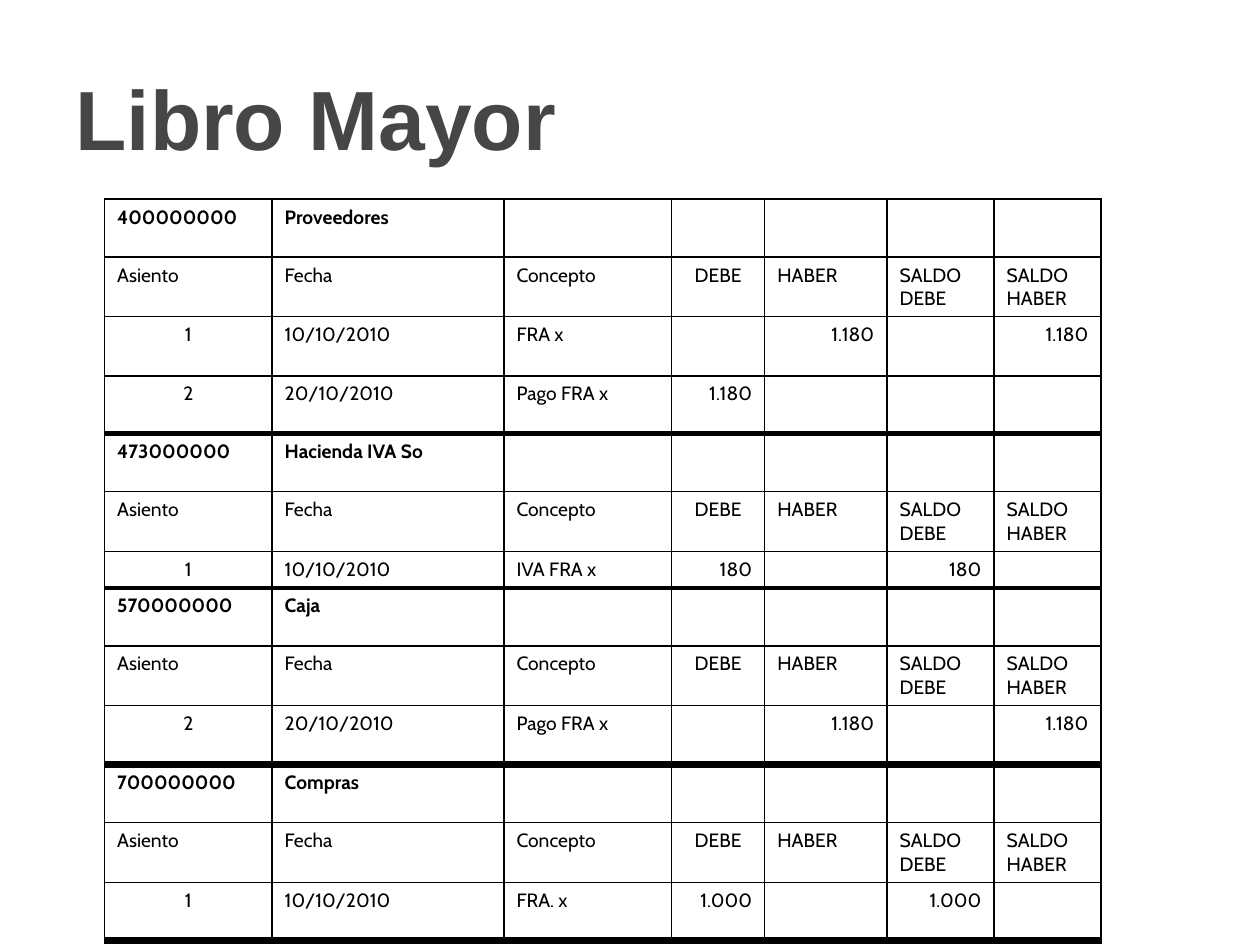
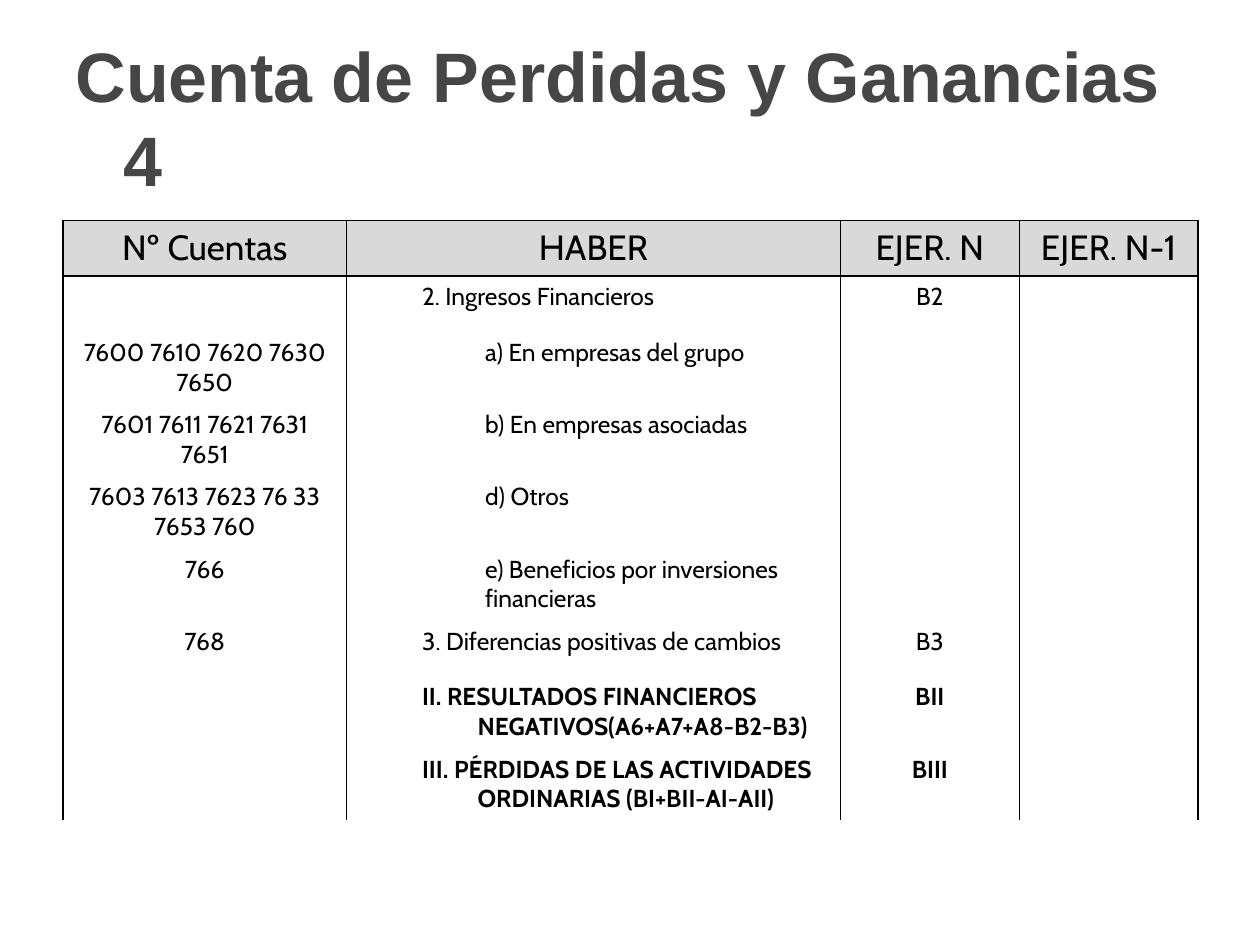
"""Build two accounting slides: the general ledger and the profit and loss account."""
import dataclasses

import pptx
import pptx.dml.color
import pptx.enum.text
import pptx.oxml.ns
import pptx.util
from lxml import etree

Inches, Pt = pptx.util.Inches, pptx.util.Pt
ALIGN = {
    "l": pptx.enum.text.PP_ALIGN.LEFT,
    "c": pptx.enum.text.PP_ALIGN.CENTER,
    "r": pptx.enum.text.PP_ALIGN.RIGHT,
}


@dataclasses.dataclass(frozen=True)
class Theme:
    title_font: str = "Arial"
    body_font: str = "Cabin"
    title_color: str = "464646"
    text_color: str = "000000"
    line_color: str = "000000"
    paper: str = "FFFFFF"
    header_fill: str = "D9D9D9"
    ledger_size: int = 11
    header_size: int = 20
    body_size: int = 14
    thin: float = 1


THEME = Theme()

LEDGER_TITLE = ("Libro Mayor", 48)
LEDGER_HEADER = ["Asiento", "Fecha", "Concepto", "DEBE", "HABER", "SALDO\nDEBE", "SALDO\nHABER"]
LEDGER_HEADER_ALIGN = "lllclll"
LEDGER_ENTRY_ALIGN = "cllrrrr"
LEDGER_COLS = [1.33, 1.84, 1.33, 0.74, 0.97, 0.85, 0.85]
ACCOUNT_HEIGHT, LEDGER_HEADER_HEIGHT = 0.46, 0.47
ACCOUNTS = [
    {"code": "400000000", "name": "Proveedores", "rule": 3, "entries": [
        (0.47, ["1", "10/10/2010", "FRA x", "", "1.180", "", "1.180"]),
        (0.46, ["2", "20/10/2010", "Pago FRA x", "1.180", "", "", ""])]},
    {"code": "473000000", "name": "Hacienda IVA So", "rule": 3, "entries": [
        (0.28, ["1", "10/10/2010", "IVA FRA x", "180", "", "180", ""])]},
    {"code": "570000000", "name": "Caja", "rule": 4.5, "entries": [
        (0.47, ["2", "20/10/2010", "Pago FRA x", "", "1.180", "", "1.180"])]},
    {"code": "700000000", "name": "Compras", "rule": 4.5, "entries": [
        (0.46, ["1", "10/10/2010", "FRA. x", "1.000", "", "1.000", ""])]},
]

RESULT_TITLE = ("Cuenta de Perdidas y Ganancias 4", 40)
RESULT_HEADER = ["Nº Cuentas", "HABER", "EJER. N", "EJER. N-1"]
RESULT_COLS = [2.25, 3.92, 1.42, 1.42]
ONE_LINE, TWO_LINES = 0.44, 0.57
INDENTS = {"item": (1, 0.5, 0), "detail": (2, 1, 0), "total": (1, 0.94, -0.44)}
RESULT_ROWS = [
    ("item", ONE_LINE, "", "2. Ingresos Financieros", "B2"),
    ("detail", TWO_LINES, "7600 7610 7620 7630 7650", "a) En empresas del grupo", ""),
    ("detail", TWO_LINES, "7601 7611 7621 7631 7651", "b) En empresas asociadas", ""),
    ("detail", TWO_LINES, "7603 7613 7623 76 33 7653 760", "d) Otros", ""),
    ("detail", TWO_LINES, "766", "e) Beneficios por inversiones financieras", ""),
    ("item", ONE_LINE, "768", "3. Diferencias positivas de cambios", "B3"),
    ("total", TWO_LINES, "", "II. RESULTADOS FINANCIEROS NEGATIVOS(A6+A7+A8-B2-B3)", "BII"),
    ("total", TWO_LINES, "", "III. PÉRDIDAS DE LAS ACTIVIDADES ORDINARIAS (BI+BII-AI-AII)", "BIII"),
]


def rgb(value):
    """Turn a hex string into a colour."""
    return pptx.dml.color.RGBColor.from_string(value)


def add_run(p, text, font, size, color, bold):
    """Add one formatted run to a paragraph."""
    r = p.add_run()
    r.text = text
    r.font.name, r.font.size, r.font.bold = font, Pt(size), bold
    r.font.color.rgb = rgb(color)


def set_indent(p, left, first):
    """Set the left margin and first-line indent in inches."""
    pPr = p._p.get_or_add_pPr()
    pPr.set("marL", str(Inches(left)))
    pPr.set("indent", str(Inches(first)))


def add_slide(prs, title):
    """Add a title-only slide with the shared title style."""
    text, size = title
    slide = prs.slides.add_slide(prs.slide_layouts[5])
    sp = slide.shapes.title
    sp.left, sp.top, sp.width, sp.height = map(Inches, (0.5, 0.3, 9, 1.25))
    tf = sp.text_frame
    tf.word_wrap = True
    tf.auto_size = pptx.enum.text.MSO_AUTO_SIZE.NONE
    tf.vertical_anchor = pptx.enum.text.MSO_ANCHOR.MIDDLE
    p = tf.paragraphs[0]
    p.alignment = ALIGN["l"]
    set_indent(p, 0.38, -0.38)
    add_run(p, text, THEME.title_font, size, THEME.title_color, True)
    return slide


def add_grid(slide, left, top, cols, rows):
    """Add an unbanded table with the given column widths and row heights."""
    frame = slide.shapes.add_table(len(rows), len(cols), Inches(left), Inches(top),
                                   Inches(sum(cols)), Inches(sum(rows)))
    table = frame.table
    table.first_row = table.horz_banding = False
    for column, width in zip(table.columns, cols):
        column.width = Inches(width)
    for row, height in zip(table.rows, rows):
        row.height = Inches(height)
    return table


def set_borders(cell, top, bottom):
    """Draw thin sides and the given top and bottom lines; zero means none."""
    tcPr = cell._tc.get_or_add_tcPr()
    qn = pptx.oxml.ns.qn
    for side, width in (("L", THEME.thin), ("R", THEME.thin), ("T", top), ("B", bottom)):
        ln = etree.SubElement(tcPr, qn(f"a:ln{side}"), w=str(Pt(width)))
        if width:
            fill = etree.SubElement(ln, qn("a:solidFill"))
            etree.SubElement(fill, qn("a:srgbClr"), val=THEME.line_color)
        else:
            etree.SubElement(ln, qn("a:noFill"))


def fill_cell(cell, text, size, align="l", bold=False, fill=None, top=0, bottom=0, indent=None):
    """Write and format one table cell."""
    set_borders(cell, top, bottom)
    if fill:
        cell.fill.solid()
        cell.fill.fore_color.rgb = rgb(fill)
    else:
        cell.fill.background()
    tf = cell.text_frame
    for i, line in enumerate(text.split("\n")):
        p = tf.add_paragraph() if i else tf.paragraphs[0]
        p.alignment = ALIGN[align]
        if indent:
            level, left, first = indent
            p.level = level
            set_indent(p, left, first)
        if line:
            add_run(p, line, THEME.body_font, size, THEME.text_color, bold)
        else:
            etree.SubElement(p._p, pptx.oxml.ns.qn("a:endParaRPr"), sz=str(size * 100))


def ledger_rows():
    """List each ledger row as height, texts, alignments, bold, top and bottom line."""
    rows, above = [], THEME.thin
    for account in ACCOUNTS:
        heading = [account["code"], account["name"]] + [""] * 5
        rows.append((ACCOUNT_HEIGHT, heading, "l" * 7, True, above, THEME.thin))
        rows.append((LEDGER_HEADER_HEIGHT, LEDGER_HEADER, LEDGER_HEADER_ALIGN, False,
                     THEME.thin, THEME.thin))
        for i, (height, texts) in enumerate(account["entries"], 1):
            last = i == len(account["entries"])
            rows.append((height, texts, LEDGER_ENTRY_ALIGN, False, THEME.thin,
                         account["rule"] if last else THEME.thin))
        above = account["rule"]
    return rows


def build_ledger(prs):
    """Build the general ledger slide."""
    slide = add_slide(prs, LEDGER_TITLE)
    rows = ledger_rows()
    table = add_grid(slide, 0.83, 1.58, LEDGER_COLS, [row[0] for row in rows])
    for r, (_, texts, aligns, bold, top, bottom) in enumerate(rows):
        for c, (text, align) in enumerate(zip(texts, aligns)):
            fill_cell(table.cell(r, c), text, THEME.ledger_size, align, bold,
                      THEME.paper, top, bottom)


def build_result(prs):
    """Build the profit and loss slide."""
    slide = add_slide(prs, RESULT_TITLE)
    heights = [ONE_LINE] + [row[1] for row in RESULT_ROWS]
    table = add_grid(slide, 0.5, 1.75, RESULT_COLS, heights)
    for c, text in enumerate(RESULT_HEADER):
        fill_cell(table.cell(0, c), text, THEME.header_size, "c", False,
                  THEME.header_fill, THEME.thin, THEME.thin)
    for r, (kind, _, codes, concept, key) in enumerate(RESULT_ROWS, 1):
        for c, text in enumerate((codes, concept, key, "")):
            is_concept = c == 1
            fill_cell(table.cell(r, c), text, THEME.body_size, "l" if is_concept else "c",
                      kind == "total", top=THEME.thin if r == 1 else 0,
                      indent=INDENTS[kind] if is_concept else None)


def main():
    """Create and save the presentation."""
    prs = pptx.Presentation()
    prs.slide_width, prs.slide_height = Inches(10), Inches(7.5)
    build_ledger(prs)
    build_result(prs)
    prs.save("out.pptx")


if __name__ == "__main__":
    main()
